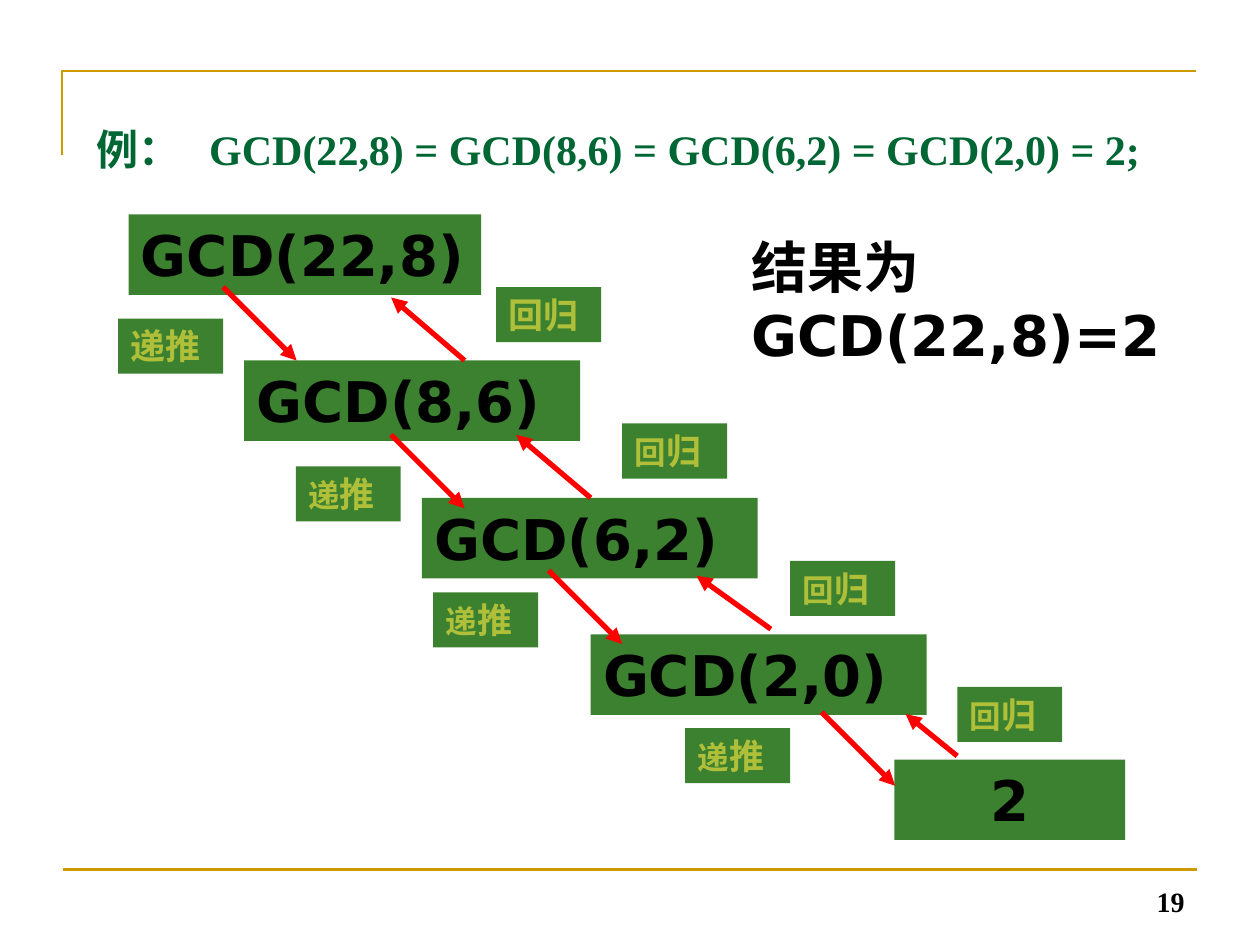
"""Builds the slide that traces a recursive GCD call down and back up."""
from lxml import etree
from pptx import Presentation
from pptx.dml.color import RGBColor
from pptx.enum.shapes import MSO_CONNECTOR, MSO_SHAPE
from pptx.enum.text import MSO_ANCHOR, PP_ALIGN
from pptx.oxml.ns import qn
from pptx.util import Pt

STRAIGHT = MSO_CONNECTOR.STRAIGHT
RECTANGLE = MSO_SHAPE.RECTANGLE
TOP, BOTTOM = MSO_ANCHOR.TOP, MSO_ANCHOR.BOTTOM
LEFT, CENTER, RIGHT = PP_ALIGN.LEFT, PP_ALIGN.CENTER, PP_ALIGN.RIGHT

SANS, SERIF, SMALL = "DejaVu Sans", "Times New Roman", "Arial"
GREEN, LIME, RED, GOLD = "3B812F", "AFBF39", "FF0000", "CC9900"
BLACK, TITLE_GREEN = "000000", "006633"

CALLS = [
    ("GCD(22,8)", 73.5, 122.5, 201.5, LEFT),
    ("GCD(8,6)", 139.5, 206, 192, LEFT),
    ("GCD(6,2)", 241, 284.5, 192, LEFT),
    ("GCD(2,0)", 337.5, 362.5, 192, LEFT),
    ("2", 511, 434, 132, CENTER),
]
DESCENT_STARTS = [(127.5, 164), (223.5, 248.5), (313.5, 326), (469.5, 407)]
DESCENT = 42
RETURNS = [
    ((547, 432), (517.5, 408)),
    ((440.5, 359.5), (398, 329)),
    ((337.5, 284.5), (295, 248.5)),
    ((265.5, 206), (223.5, 170)),
]
DESCENT_LABELS = [(67.5, 182), (169, 266.5), (247.5, 338.5), (391.5, 416)]
RETURN_LABELS = [(283.5, 164), (355.5, 242), (451.5, 320.5), (547, 392.5)]


def color(hex_code):
    return RGBColor.from_string(hex_code)


def write(shape, *runs, size=32, font=SANS, ink=BLACK, align=LEFT,
          anchor=TOP, before=0, tab=None):
    """Each run is a text, or a (text, size, font) tuple."""
    frame = shape.text_frame
    frame.word_wrap = True
    frame.vertical_anchor = anchor
    paragraph = frame.paragraphs[0]
    paragraph.alignment = align
    paragraph.space_before = Pt(before)
    if tab:
        stops = etree.SubElement(paragraph._p.get_or_add_pPr(), qn("a:tabLst"))
        etree.SubElement(stops, qn("a:tab"), pos=str(Pt(tab)), algn="l")
    for item in runs:
        text, run_size, run_font = (item, size, font) if isinstance(item, str) else item
        run = paragraph.add_run()
        run.text = text
        run.font.size = Pt(run_size)
        run.font.name = run_font
        run.font.bold = True
        run.font.color.rgb = color(ink)


class TraceSlide:
    """Holds the style and the slide that is being drawn."""

    def __init__(self, slide):
        self.shapes = slide.shapes

    def text(self, left, top, width, height, *runs, **style):
        box = self.shapes.add_textbox(Pt(left), Pt(top), Pt(width), Pt(height))
        write(box, *runs, **style)

    def block(self, left, top, width, height, *runs, **style):
        block = self.shapes.add_shape(RECTANGLE, Pt(left), Pt(top), Pt(width), Pt(height))
        block.shadow.inherit = False
        block.fill.solid()
        block.fill.fore_color.rgb = color(GREEN)
        block.line.fill.background()
        write(block, *runs, **style)

    def label(self, position, first, second, mixed):
        runs = [(first, 18, SMALL), second] if mixed else [first + second]
        self.block(*position, 60, 31.5, *runs, size=20, ink=LIME, before=12.5)

    def line(self, start, end, ink, weight):
        line = self.shapes.add_connector(STRAIGHT, *map(Pt, (*start, *end)))
        line.line.color.rgb = color(ink)
        line.line.width = Pt(weight)
        etree.SubElement(line._element.spPr, qn("a:effectLst"))
        return line

    def arrow(self, start, end):
        arrow = self.line(start, end, RED, 3)
        etree.SubElement(arrow.line._get_or_add_ln(), qn("a:tailEnd"), type="triangle")

    def corner(self, *points):
        start, *rest = [tuple(map(Pt, point)) for point in points]
        builder = self.shapes.build_freeform(*start)
        builder.add_line_segments(rest, close=False)
        corner = builder.convert_to_shape()
        corner.shadow.inherit = False
        corner.fill.background()
        corner.line.color.rgb = color(GOLD)
        corner.line.width = Pt(1.5)


def main():
    deck = Presentation()
    deck.slide_width, deck.slide_height = Pt(720), Pt(540)
    trace = TraceSlide(deck.slides.add_slide(deck.slide_layouts[6]))

    trace.corner((35.5, 88.5), (35.5, 40.5), (683.5, 40.5))
    trace.line((36, 497), (684, 497), GOLD, 1.5)

    for call, left, top, width, align in CALLS:
        trace.block(left, top, width, 46, call, align=align, before=20)
    for x, y in DESCENT_STARTS:
        trace.arrow((x, y), (x + DESCENT, y + DESCENT))
    for start, end in RETURNS:
        trace.arrow(start, end)
    for level, position in enumerate(DESCENT_LABELS):
        trace.label(position, "递", "推", mixed=level > 0)
    for level, position in enumerate(RETURN_LABELS):
        trace.label(position, "回", "归", mixed=level > 0)

    trace.text(422.5, 129.5, 270, 84, "结果为GCD(22,8)=2", before=20)
    trace.text(48, 67, 648, 90,
               "例：\tGCD(22,8) = GCD(8,6) = GCD(6,2) = GCD(2,0) = 2;",
               size=24, font=SERIF, ink=TITLE_GREEN, tab=64.5)
    trace.text(516, 492, 168, 36, "19", size=16, font=SERIF, align=RIGHT, anchor=BOTTOM)

    deck.save("out.pptx")


if __name__ == "__main__":
    main()
